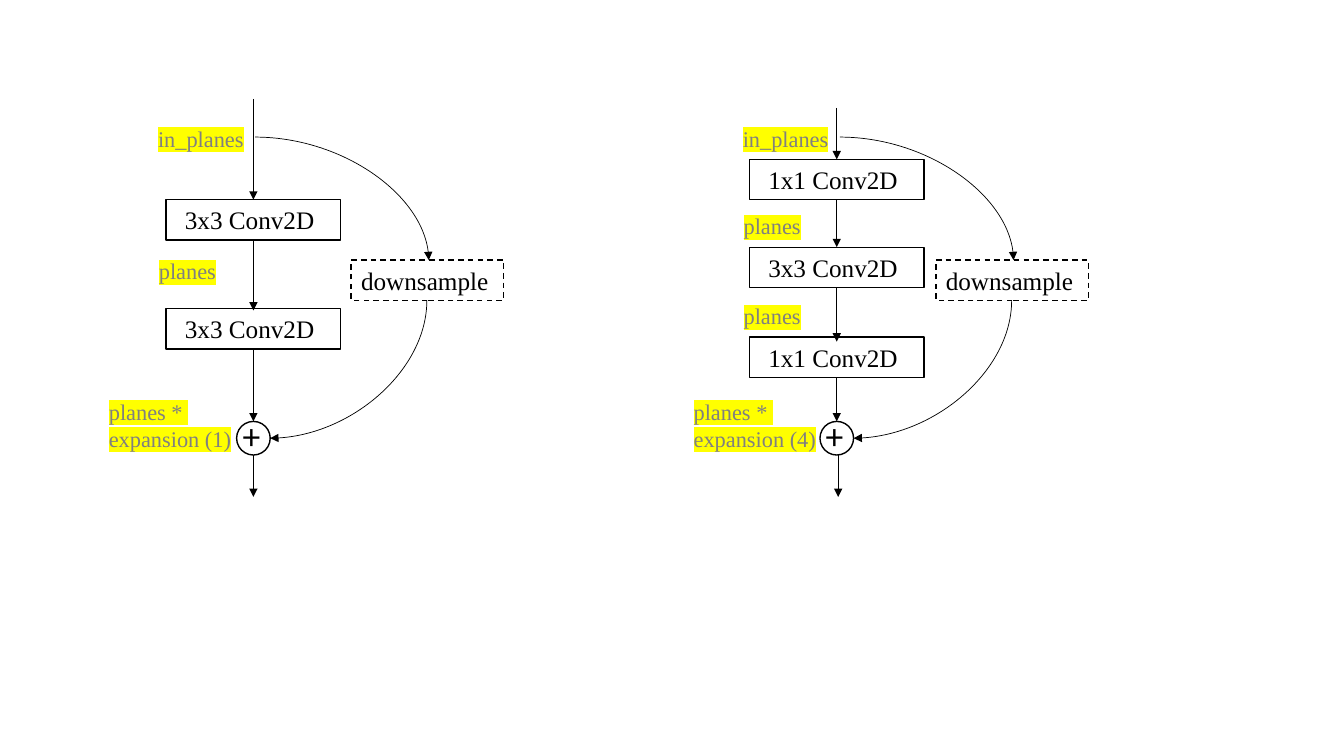
from lxml import etree
from pptx import Presentation
from pptx import util as u
from pptx.dml.color import RGBColor
from pptx.enum import dml, shapes, text
from pptx.oxml import ns

BLACK = RGBColor(0, 0, 0)
GRAY = RGBColor(0x80, 0x80, 0x80)
YELLOW = RGBColor(0xFF, 0xFF, 0x00)
SERIF, SANS = "Times New Roman", "Noto Sans CJK SC"
BOX_H, CONV_W, DOWN_W, SUM_D = 28.8, 124.6, 109, 24
SKIP_TOP, DOWN_TOP, SUM_TOP, OUT_END = 97.9, 185.8, 301, 355


class Diagram:
    """Holds the slide and the style of its elements."""

    def __init__(self, slide):
        self.shapes = slide.shapes

    def add_lines(self, shape, lines, size, font, color, inset=7.2, highlight=None):
        frame = shape.text_frame
        frame.word_wrap = True
        frame.vertical_anchor = text.MSO_ANCHOR.TOP
        frame.margin_left, frame.margin_right = u.Pt(inset), u.Pt(0)
        frame.margin_top = frame.margin_bottom = u.Pt(3.6)
        for i, line in enumerate(lines):
            para = frame.add_paragraph() if i else frame.paragraphs[0]
            para.alignment = text.PP_ALIGN.LEFT
            run = para.add_run()
            run.text = line
            run.font.size, run.font.name = u.Pt(size), font
            run.font.color.rgb = color
            if highlight is not None:
                mark = etree.Element(ns.qn("a:highlight"))
                etree.SubElement(mark, ns.qn("a:srgbClr"), val=str(highlight))
                run.font._element.find(ns.qn("a:solidFill")).addnext(mark)

    def outline(self, kind, x, y, w, h, dashed=False):
        shape = self.shapes.add_shape(kind, u.Pt(x), u.Pt(y), u.Pt(w), u.Pt(h))
        shape.shadow.inherit = False
        shape.fill.background()
        shape.line.color.rgb, shape.line.width = BLACK, u.Pt(1)
        if dashed:
            shape.line.dash_style = dml.MSO_LINE.DASH
        return shape

    def box(self, name, x, y, w, inset, dashed=False):
        shape = self.outline(shapes.MSO_SHAPE.RECTANGLE, x, y, w, BOX_H, dashed)
        self.add_lines(shape, [name], 18, SERIF, BLACK, inset)

    def textbox(self, lines, x, y, w, h, *style, **extra):
        shape = self.shapes.add_textbox(u.Pt(x), u.Pt(y), u.Pt(w), u.Pt(h))
        self.add_lines(shape, lines, *style, **extra)

    def label(self, lines, x, y, w):
        self.textbox(lines, x, y, w, 7.2 + 19.4 * len(lines),
                     16, SERIF, GRAY, highlight=YELLOW)

    def arrow(self, x1, y1, x2, y2, kind=shapes.MSO_CONNECTOR.STRAIGHT):
        line = self.shapes.add_connector(kind, u.Pt(x1), u.Pt(y1), u.Pt(x2), u.Pt(y2))
        line.line.color.rgb, line.line.width = BLACK, u.Pt(0.5)
        props = line._element.spPr
        etree.SubElement(props.find(ns.qn("a:ln")), ns.qn("a:tailEnd"), type="triangle")
        etree.SubElement(props, ns.qn("a:effectLst"))
        return props

    def quarter_curve(self, x1, y1, x2, y2, turned=False):
        """Arc leaving sideways or, when turned by 90 degrees, downwards."""
        if turned:
            cx, cy = (x1 + x2) / 2, (y1 + y2) / 2
            half_w, half_h = (y2 - y1) / 2, (x1 - x2) / 2
            x1, x2, y1, y2 = cx - half_w, cx + half_w, cy - half_h, cy + half_h
        props = self.arrow(x1, y1, x2, y2, shapes.MSO_CONNECTOR.CURVE)
        props.find(ns.qn("a:prstGeom")).set("prst", "curvedConnector2")
        if turned:
            props.find(ns.qn("a:xfrm")).set("rot", "5400000")

    def residual_block(self, axis, side, start, convs, planes_tops, expansion):
        """axis: main path; side: reference for labels, skip path and output."""
        # Main path: each convolution with the arrow entering it
        for name, top, arrow_end in convs:
            self.box(name, axis - CONV_W / 2, top, CONV_W, 13.4)
            self.arrow(axis, start, axis, arrow_end)
            start = top + BOX_H
        self.arrow(axis, start, axis, SUM_TOP)

        # Skip path through the downsampling
        sum_mid, sum_right = SUM_TOP + SUM_D / 2, axis + SUM_D / 2
        self.quarter_curve(side + 1.2, SKIP_TOP, side + 125.3, DOWN_TOP)
        self.box("downsample", side + 69.8, DOWN_TOP, DOWN_W, 7.2, dashed=True)
        self.quarter_curve(side + 123.9, DOWN_TOP + BOX_H, sum_right, sum_mid, turned=True)

        # Sum and output
        self.outline(shapes.MSO_SHAPE.OVAL, axis - SUM_D / 2, SUM_TOP, SUM_D, SUM_D)
        self.textbox(["+"], axis - 15.2, 294.5, 32.4, 36, 24, SANS, BLACK)
        self.arrow(side, SUM_TOP + SUM_D, side, OUT_END)

        # Channel labels
        self.label(["in_planes"], side - 75.2, 85.7, 106.6)
        for top in planes_tops:
            self.label(["planes"], side - 74.6, top, 76.3)
        self.label(["planes * ", f"expansion ({expansion})"], side - 110.3, 280.8, 156.2)


deck = Presentation()
deck.slide_width, deck.slide_height = u.Pt(960), u.Pt(540)
diagram = Diagram(deck.slides.add_slide(deck.slide_layouts[6]))

# Basic block: two convolutions
diagram.residual_block(
    181, 181, 70.6,
    [("3x3 Conv2D", 142.6, 142.6), ("3x3 Conv2D", 220.6, 221.8)],
    [180.2], 1)

# Bottleneck block: three convolutions
diagram.residual_block(
    597.7, 598.7, 77,
    [("1x1 Conv2D", 113.8, 113.8), ("3x3 Conv2D", 176.6, 176.6),
     ("1x1 Conv2D", 240.8, 244)],
    [148.3, 212.4], 4)

deck.save("out.pptx")
